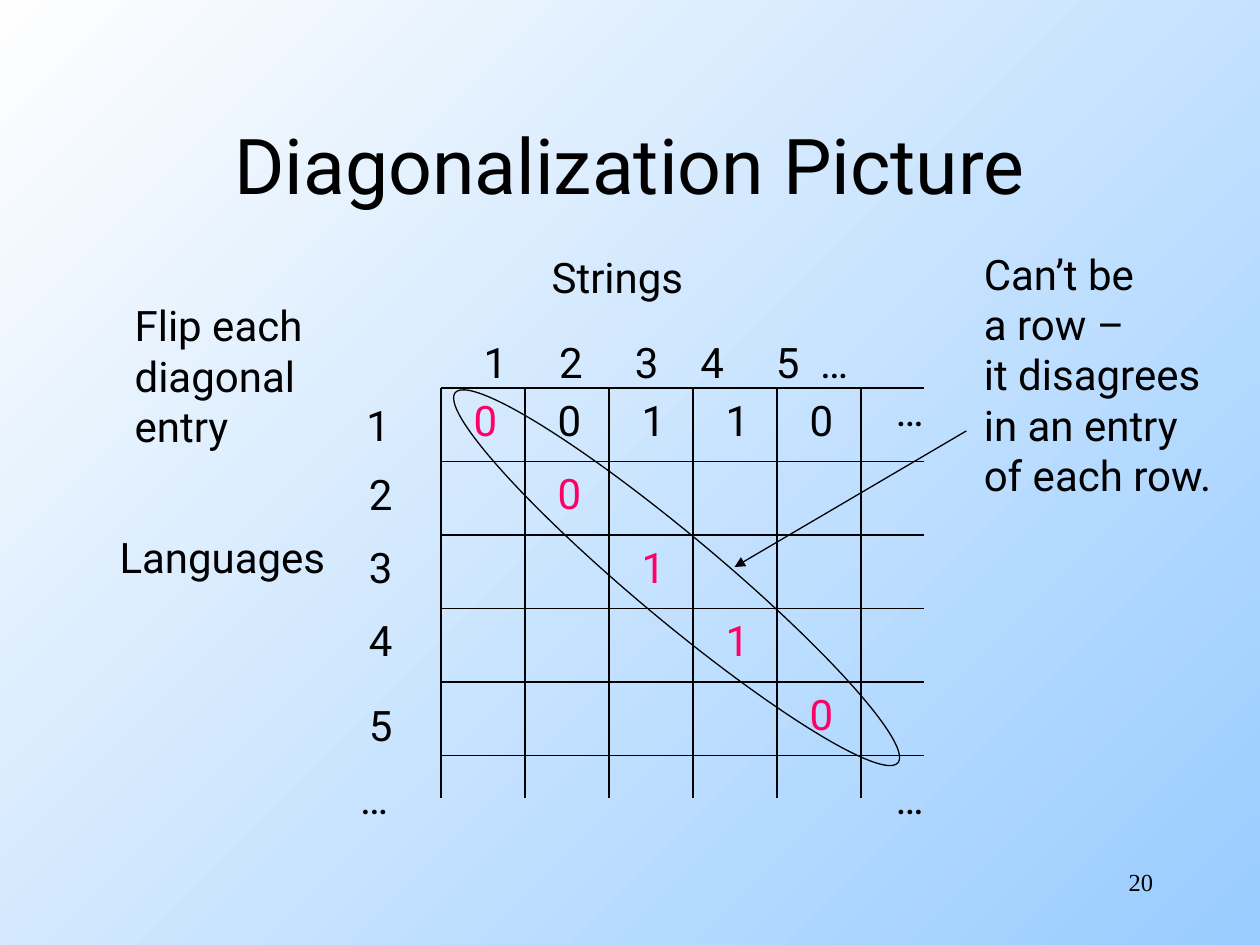
"""Build the diagonalization slide: a grid of languages against strings."""
import pptx
import pptx.dml.color
import pptx.enum.shapes
import pptx.enum.text
import pptx.oxml.ns
import pptx.util
from lxml import etree

Inches = pptx.util.Inches
Pt = pptx.util.Pt
qn = pptx.oxml.ns.qn
ALIGN = pptx.enum.text.PP_ALIGN
ANCHOR = pptx.enum.text.MSO_ANCHOR

COLORS = {"ink": "000000", "diagonal": "FF0066", "sky": "99CCFF", "light": "FEFEFE"}
GRID_LEFT, GRID_TOP, GRID_RIGHT, GRID_BOTTOM = 3.5, 3.08, 7.33, 6.33
COL_WIDTH, ROW_HEIGHT = 2 / 3, 7 / 12
SIZE = 5
FIRST_ROW = "00110"
DIAGONAL = "00110"
ROW_LABEL_TOPS = [3.12, 3.67, 4.25, 4.83, 5.5]
HEADER_TABS = [0.6, 1.2, 1.72, 2.32, 2.67]


def rgb(name):
    return pptx.dml.color.RGBColor.from_string(COLORS[name])


def set_background(slide):
    fill = slide.background.fill
    fill.gradient()
    fill.gradient_angle = 135
    for stop, name in zip(fill.gradient_stops, ("sky", "light")):
        stop.color.rgb = rgb(name)


def add_text(slide, text, left, top, width, height=0.5, size=24, font="Roboto",
             color="ink", align=ALIGN.LEFT, anchor=ANCHOR.TOP, wrap=False, tabs=()):
    box = slide.shapes.add_textbox(Inches(left), Inches(top), Inches(width), Inches(height))
    tf = box.text_frame
    tf.word_wrap = wrap
    tf.vertical_anchor = anchor
    for i, line in enumerate(text.split("\n")):
        p = tf.paragraphs[0] if i == 0 else tf.add_paragraph()
        p.alignment = align
        if tabs:
            add_tabs(p, tabs)
        r = p.add_run()
        r.text = line
        r.font.size = Pt(size)
        r.font.name = font
        r.font.color.rgb = rgb(color)


def add_tabs(p, positions):
    tab_list = etree.SubElement(p._p.get_or_add_pPr(), qn("a:tabLst"))
    for position in positions:
        etree.SubElement(tab_list, qn("a:tab"), pos=str(Inches(position)), algn="l")


def add_line(slide, x1, y1, x2, y2, arrow=False):
    line = slide.shapes.add_connector(
        pptx.enum.shapes.MSO_CONNECTOR.STRAIGHT,
        Inches(x1), Inches(y1), Inches(x2), Inches(y2))
    line.line.color.rgb = rgb("ink")
    line.line.width = Pt(0.75)
    if arrow:
        etree.SubElement(line.line._get_or_add_ln(), qn("a:tailEnd"), type="triangle")
    etree.SubElement(line._element.spPr, qn("a:effectLst"))


def add_ellipse(slide, left, top, width, height, rotation):
    sp = slide.shapes.add_shape(
        pptx.enum.shapes.MSO_SHAPE.OVAL,
        Inches(left), Inches(top), Inches(width), Inches(height))
    sp.rotation = rotation
    sp.shadow.inherit = False
    sp.fill.background()
    sp.line.color.rgb = rgb("ink")
    sp.line.width = Pt(0.75)


def add_grid(slide):
    for i in range(SIZE + 1):
        x = GRID_LEFT + i * COL_WIDTH
        y = GRID_TOP + i * ROW_HEIGHT
        add_line(slide, x, GRID_TOP, x, GRID_BOTTOM)
        add_line(slide, GRID_LEFT, y, GRID_RIGHT, y)


def add_entry(slide, digit, row, col):
    add_text(slide, digit, GRID_LEFT + col * COL_WIDTH + 0.16,
             GRID_TOP + row * ROW_HEIGHT, 0.39,
             color="diagonal" if row == col else "ink")


def add_entries(slide):
    for col, digit in enumerate(FIRST_ROW):
        add_entry(slide, digit, 0, col)
    for i, digit in enumerate(DIAGONAL[1:], start=1):
        add_entry(slide, digit, i, i)


def add_labels(slide):
    add_text(slide, "Strings", 4.28, 1.95, 1.3)
    add_text(slide, "Languages", 0.85, 4.17, 1.92)
    add_text(slide, "1\t2\t3\t4\t5\t…", 3.74, 2.62, 3.23, wrap=True, tabs=HEADER_TABS)
    for number, top in enumerate(ROW_LABEL_TOPS, start=1):
        add_text(slide, str(number), 2.81 if number == 1 else 2.83, top, 0.39)
    for left, top in ((2.76, 6.08), (7.01, 3), (7.01, 6.08)):
        add_text(slide, "…", left, top, 0.46)


def add_argument(slide):
    add_text(slide, "Flip each\ndiagonal\nentry", 0.97, 2.33, 1.58, 1.3)
    add_ellipse(slide, 3.08, 4.25, 4.58, 0.67, 39.9)
    add_text(slide, "Can’t be\na row –\nit disagrees\nin an entry\nof each row.",
             7.71, 1.92, 2.12, 2.1)
    add_line(slide, 7.67, 3.42, 5.83, 4.5, arrow=True)


def main():
    prs = pptx.Presentation()
    prs.slide_width, prs.slide_height = Inches(10), Inches(7.5)
    slide = prs.slides.add_slide(prs.slide_layouts[6])
    set_background(slide)
    add_text(slide, "Diagonalization Picture", 0.75, 0.67, 8.5, 1.25, size=44,
             align=ALIGN.CENTER, anchor=ANCHOR.MIDDLE, wrap=True)
    add_grid(slide)
    add_labels(slide)
    add_entries(slide)
    add_argument(slide)
    add_text(slide, "20", 7.17, 6.83, 2.08, size=14, font="Times New Roman",
             align=ALIGN.RIGHT, wrap=True)
    prs.save("out.pptx")


if __name__ == "__main__":
    main()
